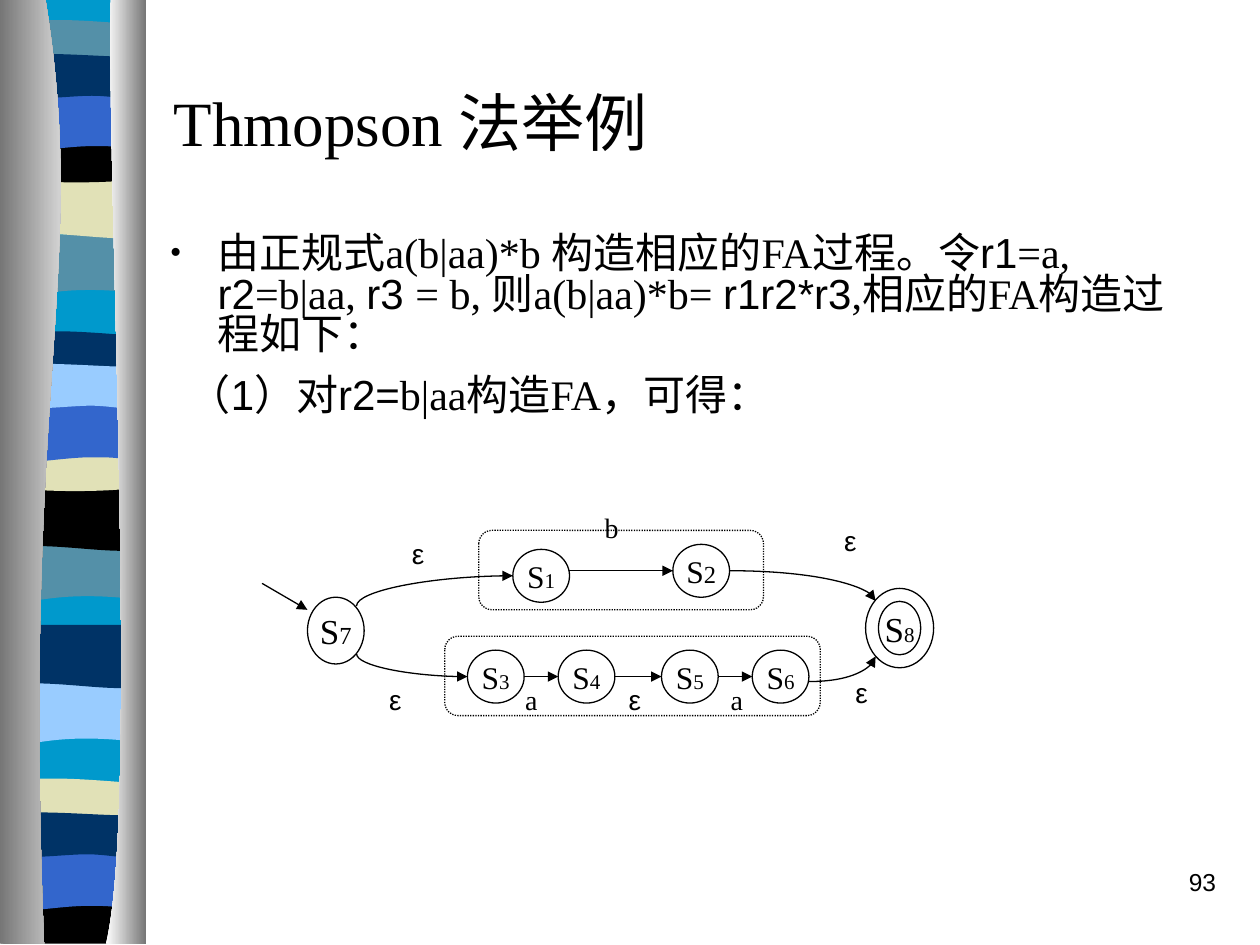
from dataclasses import dataclass

from lxml import etree
from pptx import Presentation
from pptx.dml.color import RGBColor
from pptx.enum.dml import MSO_LINE
from pptx.enum.shapes import MSO_CONNECTOR, MSO_SHAPE
from pptx.enum.text import MSO_ANCHOR, PP_ALIGN
from pptx.oxml.ns import qn
from pptx.util import Inches, Pt

OVAL, RING, ROUNDED = MSO_SHAPE.OVAL, MSO_SHAPE.DONUT, MSO_SHAPE.ROUNDED_RECTANGLE
STRAIGHT, CURVE = MSO_CONNECTOR.STRAIGHT, MSO_CONNECTOR.CURVE
DOTTED = MSO_LINE.ROUND_DOT
MIDDLE, CENTER, RIGHT = MSO_ANCHOR.MIDDLE, PP_ALIGN.CENTER, PP_ALIGN.RIGHT


@dataclass(frozen=True)
class Theme:
    ink: str = "000000"
    paper: str = "FFFFFF"
    steel: str = "767676"
    teal: str = "0099CC"
    slate: str = "5490A8"
    navy: str = "003366"
    blue: str = "3366CC"
    sky: str = "99CCFF"
    cream: str = "E1E1B7"
    serif: str = "Times New Roman"
    sans: str = "Arial"
    title: int = 36
    body: int = 24
    label: int = 16
    number: int = 14
    line: float = 0.75


T = Theme()

# Outlines: a start point, then segments of one point (line) or three (cubic curve)
W = 1.06
BASE = [(W, 0), [(W, 7.47)], [(0, 7.47)], [(0, 0)]]
DIP = [(W, 0), [(W, 0.47)], [(0.32, 0.38), (0.17, 0.54), (0, 0.47)], [(0, 0)]]
SWELL = [(W, 0), [(W, 0.48)], [(0.88, 0.55), (0.32, 0.42), (0, 0.48)], [(0, 0)]]
CREST = [(W, 0.05), [(W, 0.29)], [(0.89, 0.33), (0.18, 0.33), (0, 0.29)], [(0, 0.05)],
         [(0.07, 0), (0.24, 0.01), (0.41, 0.01)], [(0.59, 0.01), (0.93, 0.04), (W, 0.05)]]
SAG = [(W, 0), [(W, 0.33)], [(0.88, 0.38), (0.17, 0.38), (0, 0.33)], [(0, 0)],
       [(0.65, 0.05), (0.83, 0), (W, 0)]]
HUMP = [(W, 0), [(W, 0.47)], [(0.89, 0.42), (0.83, 0.42), (0.65, 0.42)],
        [(0.47, 0.42), (0.16, 0.47), (0, 0.47)], [(0, 0)]]
RISE = [(W, 0.05), [(W, 0.36)], [(0.99, 0.41), (0.83, 0.36), (0.65, 0.36)],
        [(0.47, 0.36), (0.11, 0.41), (0, 0.36)], [(0, 0.05)],
        [(0.15, 0), (0.72, 0.05), (0.9, 0.05)], [(1.07, 0.05), (1.02, 0.05), (W, 0.05)]]
FLOOR = [(W, 0), [(W, 0.37)], [(0.02, 0.37)], [(0, 0)], [(0.65, 0.05), (0.83, 0), (W, 0)]]

STRIPES = [
    (BASE, T.teal, 0.08, -0.01),
    (DIP, T.slate, 0.08, 1.86), (SWELL, T.cream, 0.09, 1.39), (CREST, T.slate, 0.09, 0.15),
    (SAG, T.ink, 0.08, 1.08), (HUMP, T.blue, 0.08, 0.74), (RISE, T.navy, 0.08, 0.4),
    (DIP, T.slate, 0.06, 4.29), (SWELL, T.ink, 0.07, 3.87), (CREST, T.navy, 0.07, 2.62),
    (SAG, T.cream, 0.07, 3.53), (HUMP, T.blue, 0.07, 3.21), (RISE, T.sky, 0.07, 2.86),
    (DIP, T.sky, 0.05, 5.42), (SWELL, T.navy, 0.06, 4.96), (CREST, T.cream, 0.06, 6.17),
    (FLOOR, T.ink, 0.05, 7.12), (HUMP, T.blue, 0.04, 6.77), (RISE, T.navy, 0.04, 6.42),
]


def rgb(value):
    return RGBColor.from_string(value)


def add_outline(s, outline, left=0, top=0):
    """A borderless freeform whose three-point segments become cubic curves."""
    start, *segments = outline
    points = [(Inches(left + x), Inches(top + y))
              for x, y in [start] + [q for segment in segments for q in segment]]
    builder = s.shapes.build_freeform(*points[0])
    builder.add_line_segments(points[1:], close=True)
    sp = builder.convert_to_shape()
    lines = iter(list(sp._element.iter(qn("a:lnTo"))))
    for segment in segments:
        first, *others = [next(lines) for _ in segment]
        if others:
            first.tag = qn("a:cubicBezTo")
        for line in others:
            first.append(line[0])
            line.getparent().remove(line)
    sp.shadow.inherit = False
    sp.line.fill.background()
    return sp


def add_ribbon(s):
    for outline, colour, left, top in STRIPES:
        sp = add_outline(s, outline, left, top)
        sp.fill.solid()
        sp.fill.fore_color.rgb = rgb(colour)


def add_metal_edges(s, top, bottom, right):
    left_edge = [(0.36, top), [(0.71, 2.16), (0.17, 2.96), (0.35, bottom)]]
    right_edge = [(0.88, top), [(0.84, 1.25), (1.11, 6.46), (0.84, bottom)]]
    for edge, side, stops in ((left_edge, 0, (T.steel, T.paper)),
                              (right_edge, right, (T.paper, T.steel))):
        sp = add_outline(s, edge + [[(side, bottom)], [(side, top)], [edge[0]]])
        sp.fill.gradient()
        sp.fill.gradient_angle = 0
        for stop, colour in zip(sp.fill.gradient_stops, stops):
            stop.color.rgb = rgb(colour)


def add_runs(p, runs):
    for text, size, font in runs:
        r = p.add_run()
        r.text = text
        r.font.size, r.font.name = Pt(size), font
        r.font.color.rgb = rgb(T.ink)


def add_text(s, box, runs, align=None, anchor=None):
    tf = s.shapes.add_textbox(*map(Inches, box)).text_frame
    tf.word_wrap = True
    if anchor is not None:
        tf.vertical_anchor = anchor
    tf.paragraphs[0].alignment = align
    add_runs(tf.paragraphs[0], runs)
    return tf


def set_indent(p, first, bullet=None):
    pPr = p._p.get_or_add_pPr()
    pPr.set("marL", str(Inches(0.38)))
    pPr.set("indent", str(Inches(first)))
    if bullet:
        colour = etree.SubElement(pPr, qn("a:buClr"))
        etree.SubElement(colour, qn("a:srgbClr")).set("val", T.ink)
        etree.SubElement(pPr, qn("a:buSzPct")).set("val", "80000")
        etree.SubElement(pPr, qn("a:buFont")).set("typeface", T.serif)
        etree.SubElement(pPr, qn("a:buChar")).set("char", bullet)


def add_body(s, box):
    parts = [("由正规式a(b|aa)*b 构造相应的FA过程。令", T.serif), ("r1", T.sans),
             ("=a, ", T.serif), ("r2", T.sans), ("=b|aa, ", T.serif), ("r3 ", T.sans),
             ("= b, 则a(b|aa)*b= ", T.serif), ("r1r2*r3", T.sans),
             (",相应的FA构造过程如下：", T.serif)]
    tf = add_text(s, box, [(text, T.body, font) for text, font in parts])
    p = tf.paragraphs[0]
    set_indent(p, -0.38, "•")
    p.line_spacing = 0.8
    p = tf.add_paragraph()
    set_indent(p, -0.23)
    p.space_before = Pt(6)
    add_runs(p, [("（1）对r2=", T.body, T.sans), ("b|aa构造FA，可得：", T.body, T.serif)])


def add_figure(s, kind, box):
    sp = s.shapes.add_shape(kind, *map(Inches, box))
    sp.shadow.inherit = False
    sp.fill.solid()
    sp.fill.fore_color.rgb = rgb(T.paper)
    sp.line.color.rgb = rgb(T.ink)
    sp.line.width = Pt(T.line)
    return sp


def add_state(s, digit, x, y, w=0.45, h=0.42, size=18, digit_size=12, kind=OVAL):
    sp = add_figure(s, kind, (x, y, w, h))
    if kind == RING:
        sp.adjustments[0] = 0.19
    tf = sp.text_frame
    tf.word_wrap = False
    tf.vertical_anchor = MIDDLE
    p = tf.paragraphs[0]
    p.alignment = CENTER
    add_runs(p, [("S", size, T.serif), (digit, digit_size, T.serif)])


def add_arrow(s, x1, y1, x2, y2, kind=STRAIGHT, upright=False):
    """An arrow; a curved one leaves vertically if upright, else horizontally."""
    c = s.shapes.add_connector(kind, *map(Inches, (x1, y1, x2, y2)))
    c.line.color.rgb = rgb(T.ink)
    c.line.width = Pt(T.line)
    spPr = c._element.spPr
    etree.SubElement(c.line._get_or_add_ln(), qn("a:tailEnd")).set("type", "triangle")
    etree.SubElement(spPr, qn("a:effectLst"))
    if kind == CURVE:
        spPr.find(qn("a:prstGeom")).set("prst", "curvedConnector2")
    if upright:
        w, h = abs(y2 - y1), abs(x2 - x1)
        c.left, c.top = Inches((x1 + x2 - w) / 2), Inches((y1 + y2 - h) / 2)
        c.width, c.height = Inches(w), Inches(h)
        rising = y2 < y1
        xfrm = spPr.find(qn("a:xfrm"))
        xfrm.set("rot", str((90 if rising else 270) * 60000))
        xfrm.set("flipH", "1")
        xfrm.set("flipV", "1" if rising else "0")


def add_automaton(s):
    for box in ((3.8, 4.21, 2.26, 0.63), (3.53, 5.05, 2.98, 0.63)):
        add_figure(s, ROUNDED, box).line.dash_style = DOTTED

    add_state(s, "1", 4.07, 4.36)
    add_state(s, "2", 5.34, 4.32, digit_size=14)
    lower = (3.71, 4.43, 5.25, 5.97)
    for digit, x in zip("3456", lower):
        add_state(s, digit, x, 5.16)
    add_state(s, "7", 2.44, 4.74, h=0.53, size=20, digit_size=14)
    add_state(s, "8", 6.87, 4.67, 0.54, 0.63, size=20, kind=RING)

    add_arrow(s, 2.08, 4.63, 2.44, 4.84)
    add_arrow(s, 4.52, 4.53, 5.34, 4.53)
    for x, following in zip(lower, lower[1:]):
        add_arrow(s, x + 0.45, 5.37, following, 5.37)
    add_arrow(s, 2.83, 4.81, 4.07, 4.57, CURVE, upright=True)
    add_arrow(s, 2.83, 5.19, 3.71, 5.37, CURVE, upright=True)
    add_arrow(s, 5.79, 4.53, 6.95, 4.77, CURVE)
    add_arrow(s, 6.42, 5.41, 6.95, 5.21, CURVE)

    for text, x, y in (("ε", 3.17, 4.21), ("b", 4.7, 4), ("ε", 6.6, 4.11), ("ε", 2.99, 5.37),
                       ("a", 4.07, 5.37), ("ε", 4.89, 5.37), ("a", 5.7, 5.37), ("ε", 6.69, 5.31)):
        font = T.sans if text == "ε" else T.serif
        add_text(s, (x, y, 0.45, 0.37), [(text, T.label, font)])


def main():
    prs = Presentation()
    prs.slide_width, prs.slide_height = Inches(10), Inches(7.5)
    s = prs.slides.add_slide(prs.slide_layouts[6])
    add_ribbon(s)
    add_metal_edges(s, -0.01, 7.49, 1.16)
    add_text(s, (7.67, 6.83, 2.08, 0.5), [("93", T.number, T.sans)], align=RIGHT)
    add_text(s, (1.28, 0.5, 8.5, 0.92), [("Thmopson 法举例", T.title, T.serif)], anchor=MIDDLE)
    add_body(s, (1.25, 1.83, 8.13, 1.83))
    add_automaton(s)
    prs.save("out.pptx")


if __name__ == "__main__":
    main()
